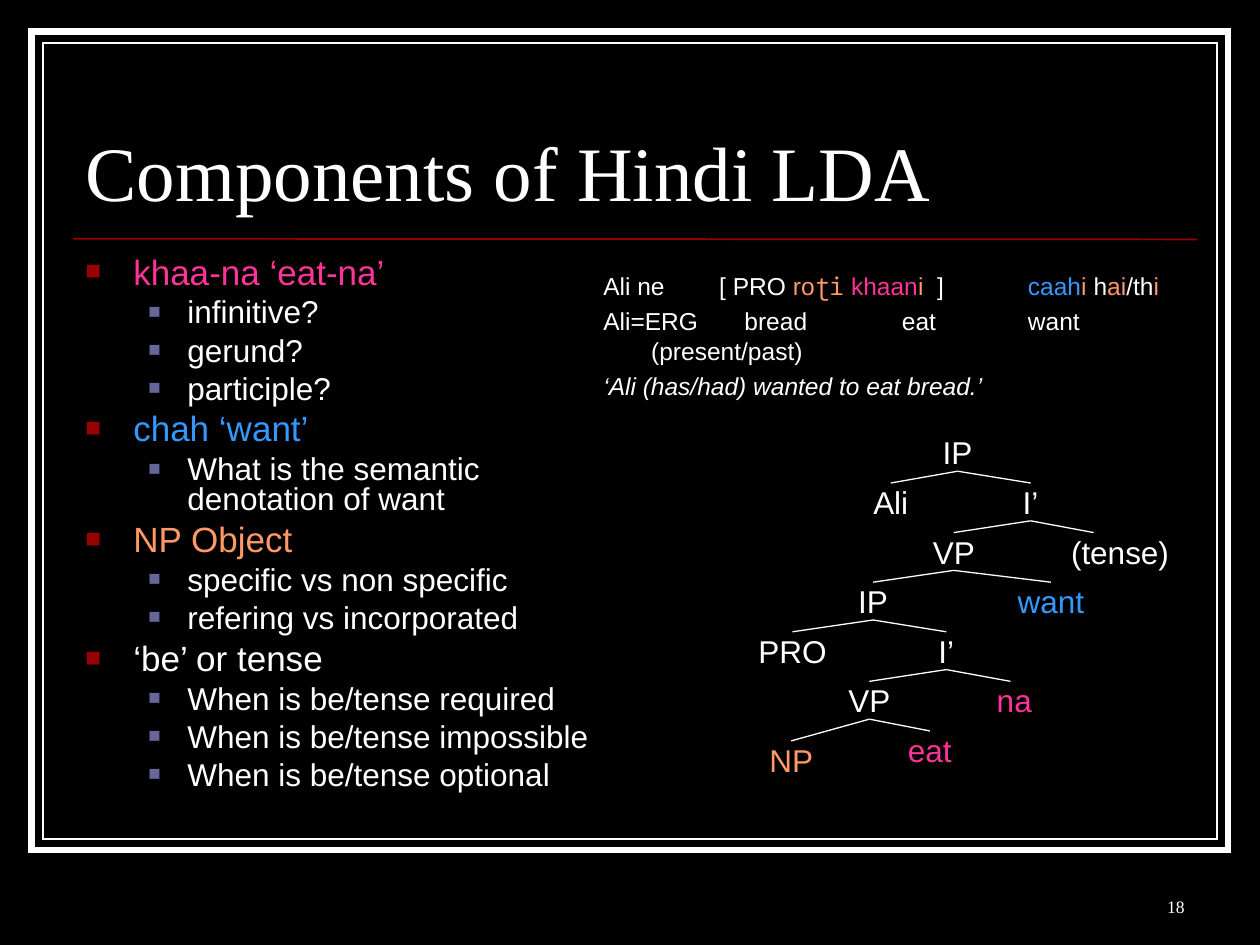
from lxml.etree import SubElement as Sub
from pptx import Presentation
from pptx.dml.color import RGBColor as RGB
from pptx.enum.shapes import MSO_CONNECTOR as Conn, MSO_SHAPE as Kind
from pptx.enum.text import MSO_ANCHOR as Anchor, MSO_AUTO_SIZE as Fit, PP_ALIGN as Align
from pptx.oxml.ns import qn
from pptx.util import Inches, Pt

INK = {"black": "000000", "white": "FFFFFF", "red": "990000", "slate": "666699",
       "pink": "FF3399", "blue": "3399FF", "peach": "FF9966"}
SANS, SERIF, MONO = "Arial", "Times New Roman", "Noto Sans Mono"
WIDE, HIGH = Inches(10), Inches(7.5)
COL, ROW = WIDE / 100, HIGH / 75

FRAME = (2.5, 2.5, 95, 65)
RULE = (5.8, 18.95, 89.2, 0.05)
TITLE = (5.8, 5.2, 89.2, 12.5)
POINTS = (5.8, 20, 43.7, 44.2)
GLOSS = (46.9, 21, 49.3, 44.2)
TREE = (60.2, 34.4, 33, 27.4)
PAGE = (74.2, 68.3, 20.8, 5)

LEVELS = [
    {"size": 20, "left": 0.38, "hang": 0.38, "gap": 5, "ink": "red", "mark": 75},
    {"size": 18, "left": 0.81, "hang": 0.31, "gap": 4.5, "ink": "slate", "mark": 65},
]
TOPICS = [
    ("khaa-na ‘eat-na’", "pink", ["infinitive?", "gerund?", "participle?"]),
    ("chah ‘want’", "blue", ["What is the semantic denotation of want"]),
    ("NP Object", "peach", ["specific vs non specific", "refering vs incorporated"]),
    ("‘be’ or tense", "white", ["When is be/tense required", "When is be/tense impossible",
                                "When is be/tense optional"]),
]
BREAK = "\v"
LINES = [
    ([0.92, 2.65, 3.37], [
        ("Ali ne\t[ PRO ", "white"), ("ro", "peach"), ("ʈi", "peach"), (" khaan", "pink"),
        ("i", "peach"), ("\t]\t", "white"), ("caah", "blue"), ("i ", "peach"),
        ("h", "white"), ("ai", "peach"), ("/th", "white"), ("i", "peach")]),
    ([0.38, 1.12, 2.37, 3.37], [
        ("Ali=ERG\tbread\teat\twant", "white"), (BREAK, "white"), ("\t(present/past)", "white")]),
    ([], [("‘Ali (has/had) wanted to eat bread.’", "white")]),
]


def node(text, x, row, wide, ink="white", tip=None, kids=()):
    return {"text": text, "x": x, "row": row, "wide": wide, "ink": ink,
            "tip": x if tip is None else tip, "kids": kids}


LOW = node("VP", 8.8, 5, 4, kids=[
    node("NP", 2.6, 6.2, 4, "peach"), node("eat", 13.6, 6, 4, "pink")])
MID = node("IP", 9.1, 3, 3, kids=[
    node("PRO", 2.7, 4, 6.4),
    node("I’", 14.9, 4, 2, kids=[LOW, node("na", 20.3, 5, 3.4, "pink", 20)])])
TOP = node("IP", 15.8, 0, 3, kids=[
    node("Ali", 10.5, 1, 3.4),
    node("I’", 21.6, 1, 2, kids=[
        node("VP", 15.5, 2, 4, kids=[MID, node("want", 23.2, 3, 6, "blue")]),
        node("(tense)", 28.7, 2, 8.6, tip=26.6)])])


def place(box):
    x, y, w, h = box
    return int(x * COL), int(y * ROW), int(w * COL), int(h * ROW)


def style(run, size, ink="white", face=SANS):
    font = run.font
    font.size, font.name = Pt(size), face
    font.color.rgb = RGB.from_string(INK[ink])


def panel(shapes, box):
    frame = shapes.add_textbox(*place(box)).text_frame
    frame.word_wrap = True
    return frame


def link(shapes, start, end, ink, width):
    line = shapes.add_connector(Conn.STRAIGHT, *map(int, (*start, *end)))
    line.line.color.rgb = RGB.from_string(INK[ink])
    line.line.width = Pt(width)
    Sub(line._element.spPr, qn("a:effectLst"))


def border(slide, box):
    x, y, w, h = box
    for inset, width in ((0, 3.5), (0.9, 0.75)):
        area = (x + inset, y + inset, w - 2 * inset, h - 2 * inset)
        rect = slide.shapes.add_shape(Kind.RECTANGLE, *place(area))
        rect.shadow.inherit = False
        rect.fill.solid()
        rect.fill.fore_color.rgb = RGB.from_string(INK["black"])
        rect.line.color.rgb = RGB.from_string(INK["white"])
        rect.line.width = Pt(width)
        Sub(rect.line._get_or_add_ln(), qn("a:miter"), lim="800000")


def rule(slide, box):
    x, y, w, h = place(box)
    link(slide.shapes, (x, y), (x + w, y + h), "red", 1)


def heading(slide, box):
    title = slide.shapes.title
    title._element.getparent().append(title._element)
    title.left, title.top, title.width, title.height = place(box)
    frame = title.text_frame
    frame.text = "Components of Hindi LDA"
    frame.auto_size, frame.vertical_anchor = Fit.NONE, Anchor.BOTTOM
    para = frame.paragraphs[0]
    para.alignment, para.line_spacing = Align.LEFT, 0.8
    style(para.runs[0], 44, face=SERIF)


def points(slide, box):
    frame = panel(slide.shapes, box)
    items = []
    for head, ink, subs in TOPICS:
        items.append((head, 0, ink))
        items += [(sub, 1, "white") for sub in subs]
    for i, (text, depth, ink) in enumerate(items):
        look = LEVELS[depth]
        para = frame.add_paragraph() if i else frame.paragraphs[0]
        para.text, para.level, para.line_spacing = text, depth, 0.8
        if i:
            para.space_before = Pt(look["gap"])
        prop = para._p.get_or_add_pPr()
        prop.set("marL", str(Inches(look["left"])))
        prop.set("indent", str(-Inches(look["hang"])))
        Sub(Sub(prop, qn("a:buClr")), qn("a:srgbClr"), val=INK[look["ink"]])
        Sub(prop, qn("a:buSzPct"), val=str(look["mark"] * 1000))
        Sub(prop, qn("a:buFont"), typeface=SANS)
        Sub(prop, qn("a:buChar"), char="■")
        style(para.runs[0], look["size"], ink)


def gloss(slide, box):
    frame = panel(slide.shapes, box)
    for i, (stops, parts) in enumerate(LINES):
        para = frame.add_paragraph() if i else frame.paragraphs[0]
        if i:
            para.space_before = Pt(3.5)
        if stops:
            tabs = Sub(para._p.get_or_add_pPr(), qn("a:tabLst"))
            for stop in stops:
                Sub(tabs, qn("a:tab"), pos=str(Inches(stop)), algn="l")
        for text, ink in parts:
            if text == BREAK:
                para.add_line_break()
                Sub(para._p[-1], qn("a:rPr"), sz="1400")
                continue
            run = para.add_run()
            run.text = text
            style(run, 14, ink, MONO if "ʈ" in text else SANS)
    frame.paragraphs[-1].runs[0].font.italic = True


def branch(shapes, box, part):
    left, top, _, high = box
    tall, step = 3, (high - 3) / 6.2
    x, y = left + part["x"], top + part["row"] * step
    frame = panel(shapes, (x - part["wide"] / 2, y, part["wide"], tall))
    frame.margin_left = frame.margin_right = frame.margin_top = frame.margin_bottom = 0
    frame.word_wrap, frame.vertical_anchor = False, Anchor.MIDDLE
    frame.text = part["text"]
    frame.paragraphs[0].alignment = Align.CENTER
    style(frame.paragraphs[0].runs[0], 18, part["ink"])
    for kid in part["kids"]:
        end = ((left + kid["tip"]) * COL, (top + kid["row"] * step) * ROW)
        link(shapes, (x * COL, (y + tall) * ROW), end, "white", 0.75)
        branch(shapes, box, kid)


def number(slide, box):
    frame = panel(slide.shapes, box)
    frame.text, frame.vertical_anchor = "18", Anchor.BOTTOM
    frame.paragraphs[0].alignment = Align.RIGHT
    style(frame.paragraphs[0].runs[0], 10, face=SERIF)


def main():
    deck = Presentation()
    deck.slide_width, deck.slide_height = WIDE, HIGH
    slide = deck.slides.add_slide(deck.slide_layouts[5])
    slide.background.fill.solid()
    slide.background.fill.fore_color.rgb = RGB.from_string(INK["black"])
    border(slide, FRAME)
    rule(slide, RULE)
    heading(slide, TITLE)
    points(slide, POINTS)
    branch(slide.shapes.add_group_shape().shapes, TREE, TOP)
    gloss(slide, GLOSS)
    number(slide, PAGE)
    deck.save("out.pptx")


if __name__ == "__main__":
    main()
